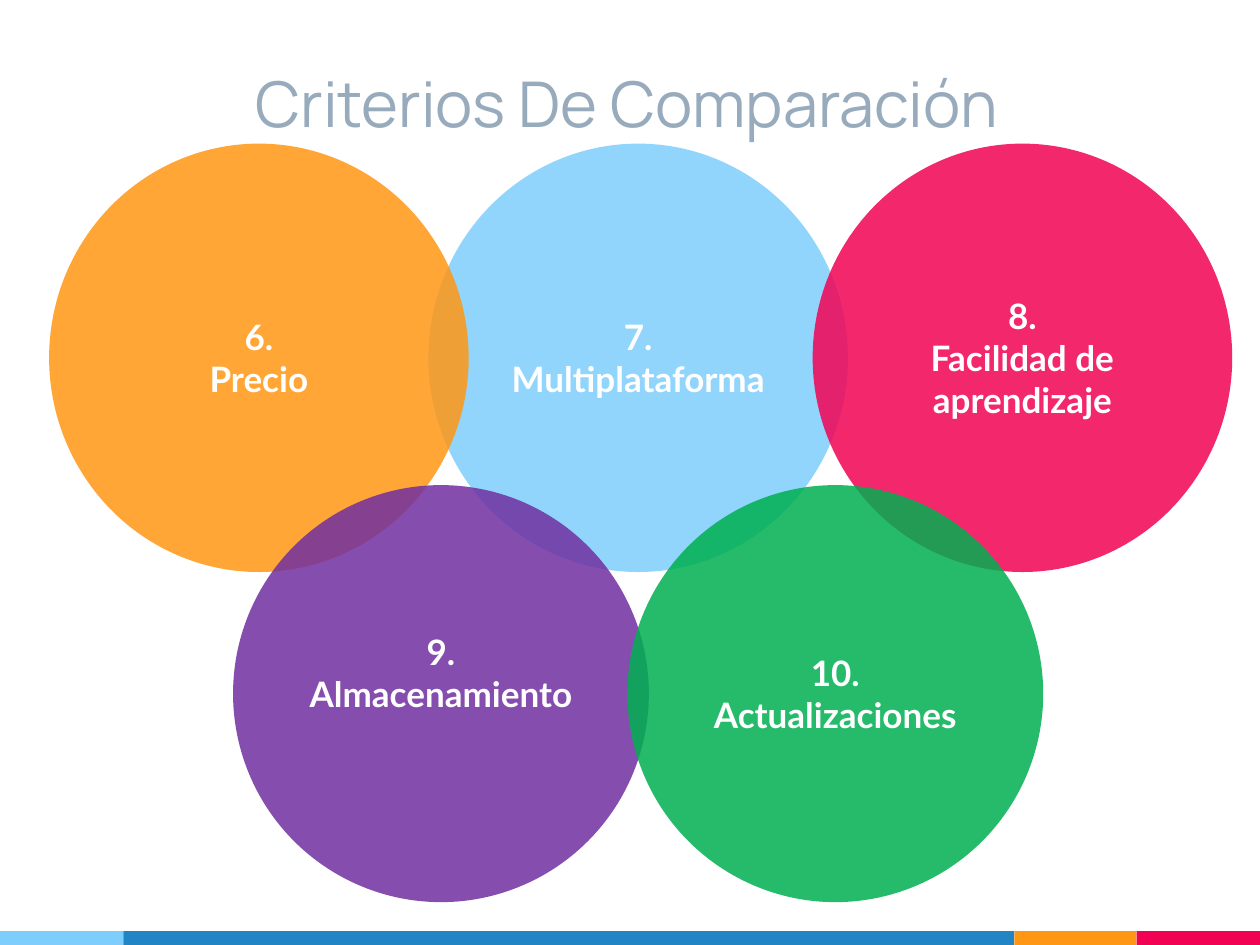
from lxml import etree
from pptx import Presentation
from pptx.dml.color import RGBColor
from pptx.enum.shapes import MSO_SHAPE as SHAPE
from pptx.enum.text import MSO_ANCHOR as ANCHOR, PP_ALIGN as ALIGN
from pptx.oxml.ns import qn
from pptx.util import Inches, Pt

COLORS = {
    "sky": "7ECEFD", "blue": "2185C5", "orange": "FF9715", "pink": "F20253",
    "purple": "7030A0", "green": "00B050", "title": "97ABBC", "white": "FFFFFF",
}


def add_filled(kind, left, top, width, height, color):
    shape = slide.shapes.add_shape(
        kind, Inches(left), Inches(top), Inches(width), Inches(height))
    shape.shadow.inherit = False
    shape.fill.solid()
    shape.fill.fore_color.rgb = RGBColor.from_string(COLORS[color])
    shape.line.fill.background()
    return shape


def write_lines(frame, lines, font_name, size, color, bold, anchor):
    frame.word_wrap = True
    frame.vertical_anchor = anchor
    frame.margin_left = frame.margin_right = Inches(0.1)
    frame.margin_top = frame.margin_bottom = Inches(0.1)
    for i, line in enumerate(lines):
        paragraph = frame.paragraphs[0] if i == 0 else frame.add_paragraph()
        paragraph.text = line
        paragraph.alignment = ALIGN.CENTER
        paragraph.font.name = font_name
        paragraph.font.size = Pt(size)
        paragraph.font.bold = bold
        paragraph.font.color.rgb = RGBColor.from_string(COLORS[color])


prs = Presentation()
prs.slide_width, prs.slide_height = Inches(10), Inches(7.5)
slide = prs.slides.add_slide(prs.slide_layouts[6])

# Footer stripe
left = 0
for color, width in [("sky", 0.98), ("blue", 7.07), ("orange", 0.97), ("pink", 0.98)]:
    add_filled(SHAPE.RECTANGLE, left, 7.39, width, 0.11, color)
    left += width

# Title
title = slide.shapes.add_textbox(Inches(1.49), Inches(0.37), Inches(7.07), Inches(0.84))
write_lines(title.text_frame, ["Criterios De Comparación "], "Manrope", 36,
            "title", False, ANCHOR.BOTTOM)

# Overlapping criteria circles: two rows, each with its top, width and height
upper_row = (1.14, 3.33, 3.4)
lower_row = (3.85, 3.3, 3.31)
criteria = [
    (3.4, upper_row, "sky", "7.", "Multiplataforma", 0.1),
    (0.39, upper_row, "orange", "6.", "Precio", 0.1),
    (6.45, upper_row, "pink", "8.", "Facilidad de aprendizaje", 0.1),
    (1.85, lower_row, "purple", "9.", "Almacenamiento", 0.43),  # label sits higher
    (4.98, lower_row, "green", "10.", "Actualizaciones", 0.1),
]
for left, (top, width, height), color, number, label, bottom_margin in criteria:
    circle = add_filled(SHAPE.OVAL, left, top, width, height, color)
    fill_color = circle.fill._xPr.find(qn("a:solidFill"))[0]
    etree.SubElement(fill_color, qn("a:alpha")).set("val", "85000")
    write_lines(circle.text_frame, [number, label], "Lato", 20, "white", True,
                ANCHOR.MIDDLE)
    circle.text_frame.margin_bottom = Inches(bottom_margin)

prs.save("out.pptx")
